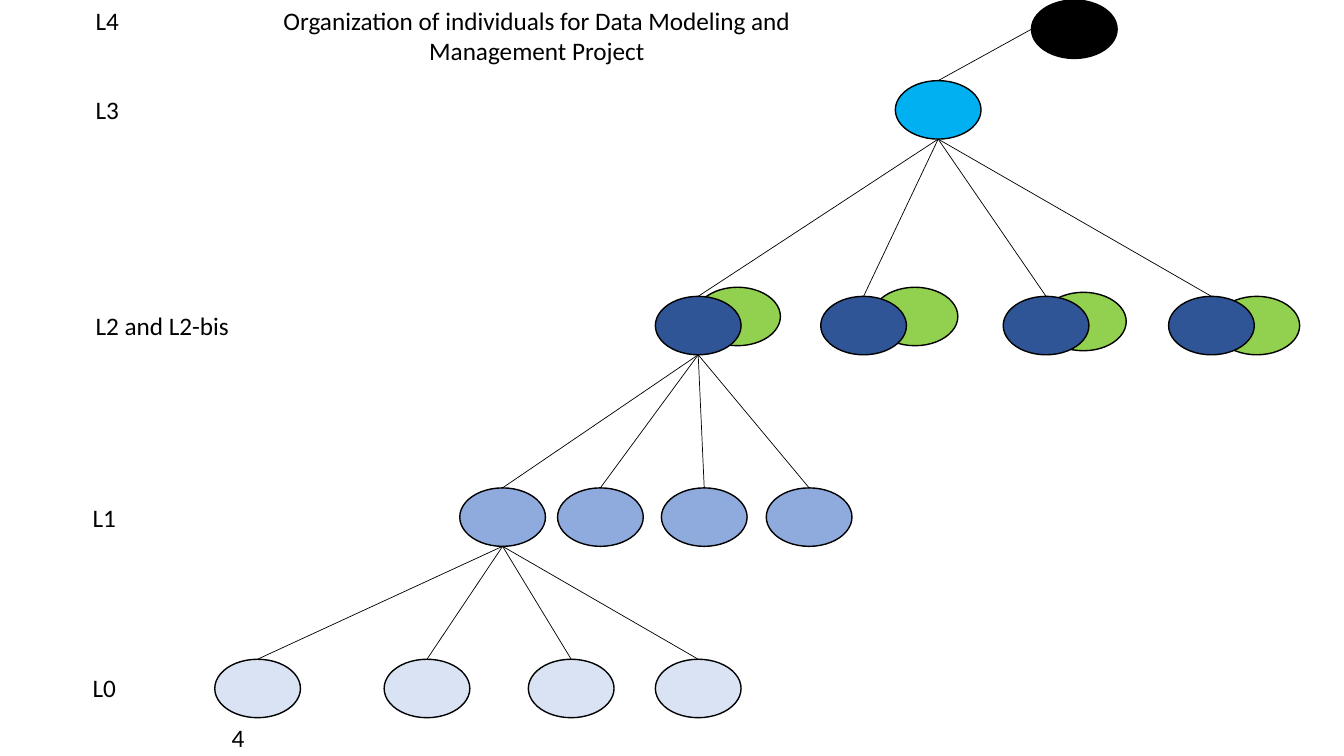
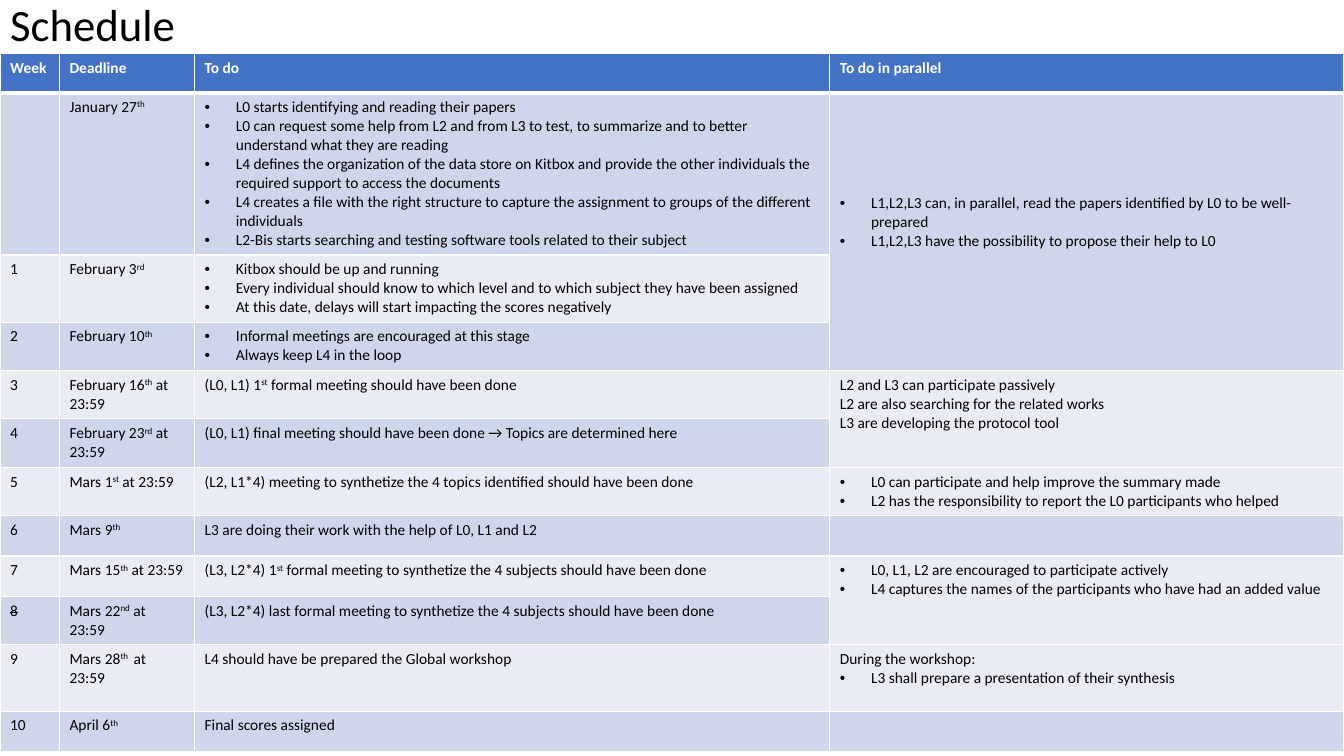
from pptx import Presentation
from pptx.dml.color import RGBColor
from pptx.enum.shapes import MSO_CONNECTOR as Connector, MSO_SHAPE as Shape
from pptx.enum.text import MSO_ANCHOR as Anchor, MSO_AUTO_SIZE as AutoSize, PP_ALIGN as Align
from pptx.oxml import parse_xml
from pptx.oxml.ns import nsdecls, qn
from pptx.util import Inches, Pt

BLACK, WHITE = "000000", "FFFFFF"
HEADER_FILL = "4472C4"
BAND_FILLS = ("CFD5EA", "E9EBF5")
HELPER_FILL = "92D050"
NODE_WIDTH, NODE_HEIGHT = 0.85, 0.58

# Level label, label position and width, node fill, top of nodes, left edges of nodes.
# The first node of each level leads the level that follows it.
LEVELS = (
    ("L4", (0.85, 0, 0.44), BLACK, 0, (10.23,)),
    ("L3", (0.85, 0.89, 0.44), "00B0F0", 0.8, (8.88,)),
    ("L2 and L2-bis", (0.85, 3.03, 1.54), "2F5597", 2.94, (6.5, 8.14, 9.95, 11.59)),
    ("L1", (0.82, 4.93, 0.44), "8FAADC", 4.84, (4.56, 5.53, 6.56, 7.6)),
    ("L0", (0.82, 6.62, 0.44), "DAE3F3", 6.54, (2.13, 3.81, 5.24, 6.5)),
)
HELPERS = ((6.89, 2.85), (8.65, 2.85), (10.32, 2.9), (12.04, 2.94))

# Text marks: "• " opens a bullet, ^…^ is superscript, ~ strikes the line out.
SCHEDULE = (
    ("Week", "Deadline", "To do", "To do in parallel"),
    ("", "January 27^th^",
     "• L0 starts identifying and reading their papers\n"
     "• L0 can request some help from L2 and from L3 to test, to summarize and to better "
     "understand what they are reading\n"
     "• L4 defines the organization of the data store on Kitbox and provide the other "
     "individuals the required support to access the documents\n"
     "• L4 creates a file with the right structure to capture the assignment to groups of "
     "the different individuals\n"
     "• L2-Bis starts searching and testing software tools related to their subject",
     "• L1,L2,L3 can, in parallel, read the papers identified by L0 to be well-prepared\n"
     "• L1,L2,L3 have the possibility to propose their help to L0"),
    ("1", "February 3^rd^",
     "• Kitbox should be up and running\n"
     "• Every individual should know to which level and to which subject they have been assigned\n"
     "• At this date, delays will start impacting the scores negatively", ""),
    ("2", "February 10^th^",
     "• Informal meetings are encouraged at this stage\n"
     "• Always keep L4 in the loop", ""),
    ("3", "February 16^th^ at 23:59", "(L0, L1) 1^st^ formal meeting should have been done",
     "L2 and L3 can participate passively\n"
     "L2 are also searching for the related works\n"
     "L3 are developing the protocol tool"),
    ("4", "February 23^rd^ at 23:59",
     "(L0, L1) final meeting should have been done → Topics are determined here", ""),
    ("5", "Mars 1^st^ at 23:59",
     "(L2, L1*4) meeting to synthetize the 4 topics identified should have been done",
     "• L0 can participate and help improve the summary made\n"
     "• L2 has the responsibility to report the L0 participants who helped"),
    ("6", "Mars 9^th^", "L3 are doing their work with the help of L0, L1 and L2", ""),
    ("7", "Mars 15^th^ at 23:59",
     "(L3, L2*4) 1^st^ formal meeting to synthetize the 4 subjects should have been done",
     "• L0, L1, L2 are encouraged to participate actively\n"
     "• L4 captures the names of the participants who have had an added value"),
    ("~8", "Mars 22^nd^ at 23:59",
     "(L3, L2*4) last formal meeting to synthetize the 4 subjects should have been done", ""),
    ("9", "Mars 28^th ^ at 23:59", "L4 should have be prepared the Global workshop",
     "During the workshop:\n• L3 shall prepare a presentation of their synthesis"),
    ("10", "April 6^th^", "Final scores assigned", ""),
)
COLUMN_WIDTHS = (0.59, 1.34, 6.3, 5.1)
ROW_HEIGHTS = (0.39, 1.61, 0.66, 0.48, 0.48, 0.48, 0.48, 0.4, 0.4, 0.48, 0.66, 0.4)
PARALLEL_SPANS = ((1, 3), (4, 5), (8, 9))


def rgb(value):
    return RGBColor.from_string(value)


class Deck:
    """Holds the shared style and the slide being filled."""

    font_name = "Calibri"

    def __init__(self):
        self.presentation = Presentation()
        self.presentation.slide_width = Inches(13.33)
        self.presentation.slide_height = Inches(7.5)
        self.slide = None

    def style(self, paragraph, size, color=BLACK, bold=False):
        font = paragraph.font
        font.name, font.size, font.bold = self.font_name, Pt(size), bold
        font.color.rgb = rgb(color)

    def add_slide(self, title, box, size, align, anchor, line_spacing=1.0):
        self.slide = self.presentation.slides.add_slide(self.presentation.slide_layouts[5])
        heading = self.slide.shapes.title
        heading.left, heading.top, heading.width, heading.height = map(Inches, box)
        frame = heading.text_frame
        frame.text = title
        frame.word_wrap = True
        frame.auto_size = AutoSize.NONE
        frame.vertical_anchor = anchor
        paragraph = frame.paragraphs[0]
        paragraph.alignment, paragraph.line_spacing = align, line_spacing
        self.style(paragraph, size)

    def label(self, text, left, top, width):
        box = self.slide.shapes.add_textbox(*map(Inches, (left, top, width, 0.4)))
        frame = box.text_frame
        frame.text = text
        frame.word_wrap = False
        frame.auto_size = AutoSize.SHAPE_TO_FIT_TEXT
        self.style(frame.paragraphs[0], 18)

    def node(self, left, top, fill):
        oval = self.slide.shapes.add_shape(
            Shape.OVAL, *map(Inches, (left, top, NODE_WIDTH, NODE_HEIGHT)))
        oval.shadow.inherit = False
        oval.fill.solid()
        oval.fill.fore_color.rgb = rgb(fill)
        oval.line.color.rgb = rgb(BLACK)
        oval.line.width = Pt(1)

    def link(self, start, end):
        line = self.slide.shapes.add_connector(Connector.STRAIGHT, *map(Inches, start + end))
        line.line.color.rgb = rgb(BLACK)
        line.line.width = Pt(0.5)
        properties = line._element.spPr
        properties.append(properties.makeelement(qn("a:effectLst"), {}))

    def marked_line(self, paragraph, text, color, bold):
        """Write one line of text, turning its marks into formatting."""
        self.style(paragraph, 11, color, bold)
        if text.startswith("• "):
            properties = paragraph._p.get_or_add_pPr()
            properties.set("marL", str(Inches(0.31)))
            properties.set("indent", str(-Inches(0.31)))
            properties.insert(0, properties.makeelement(qn("a:buFont"), {"typeface": "Arial"}))
            properties.insert(1, properties.makeelement(qn("a:buChar"), {"char": "•"}))
        struck = text.startswith("~")
        for index, part in enumerate(text.removeprefix("• ").removeprefix("~").split("^")):
            if not part:
                continue
            run = paragraph.add_run()
            run.text = part
            if index % 2:
                run._r.get_or_add_rPr().set("baseline", "30000")
            if struck:
                run._r.get_or_add_rPr().set("strike", "sngStrike")

    def cell(self, cell, text, fill, color, bold, rule):
        cell.fill.solid()
        cell.fill.fore_color.rgb = rgb(fill)
        properties = cell._tc.get_or_add_tcPr()
        for index, (side, width) in enumerate((("L", 1), ("R", 1), ("T", rule[0]), ("B", rule[1]))):
            properties.insert(index, parse_xml(
                f'<a:ln{side} {nsdecls("a")} w="{Pt(width)}"><a:solidFill>'
                f'<a:srgbClr val="{WHITE}"/></a:solidFill></a:ln{side}>'))
        frame = cell.text_frame
        for index, line in enumerate(text.split("\n")):
            paragraph = frame.add_paragraph() if index else frame.paragraphs[0]
            self.marked_line(paragraph, line, color, bold)

    def table(self, rows, left, top, widths, heights):
        frame = self.slide.shapes.add_table(
            len(rows), len(widths), *map(Inches, (left, top, sum(widths), sum(heights))))
        table = frame.table
        table.horz_banding = False
        for column, width in zip(table.columns, widths):
            column.width = Inches(width)
        for index, (row, height, texts) in enumerate(zip(table.rows, heights, rows)):
            row.height = Inches(height)
            if index == 0:
                look = (HEADER_FILL, WHITE, True, (1, 3))
            else:
                look = (BAND_FILLS[(index - 1) % 2], BLACK, False, (3 if index == 1 else 1, 1))
            for cell, text in zip(row.cells, texts):
                self.cell(cell, text, *look)
        return table


def organization_slide(deck):
    deck.add_slide("Organization of individuals for Data Modeling and Management Project",
                   (2.31, 0, 6.03, 0.71), 18, Align.CENTER, Anchor.TOP)
    for left, top in HELPERS:
        deck.node(left, top, HELPER_FILL)
    leader = None
    for name, label_place, fill, top, lefts in LEVELS:
        deck.label(name, *label_place)
        for left in lefts:
            deck.node(left, top, fill)
            if leader:
                deck.link(leader, (left + NODE_WIDTH / 2, top))
        if leader:
            leader = (lefts[0] + NODE_WIDTH / 2, top + NODE_HEIGHT)
        else:  # the top node is joined at its left side
            leader = (lefts[0], top + NODE_HEIGHT / 2)
    deck.label("4", 2.2, 7.12, 0.33)


def schedule_slide(deck):
    deck.add_slide("Schedule", (0, 0, 11.5, 0.53), 32, Align.LEFT, Anchor.MIDDLE, 0.9)
    table = deck.table(SCHEDULE, 0, 0.53, COLUMN_WIDTHS, ROW_HEIGHTS)
    for first, last in PARALLEL_SPANS:
        table.cell(first, 3).merge(table.cell(last, 3))
    reading_support = table.cell(1, 3)
    reading_support.vertical_anchor = Anchor.MIDDLE
    reading_support.margin_bottom = Inches(0.24)


def main():
    deck = Deck()
    organization_slide(deck)
    schedule_slide(deck)
    deck.presentation.save("out.pptx")


if __name__ == "__main__":
    main()
